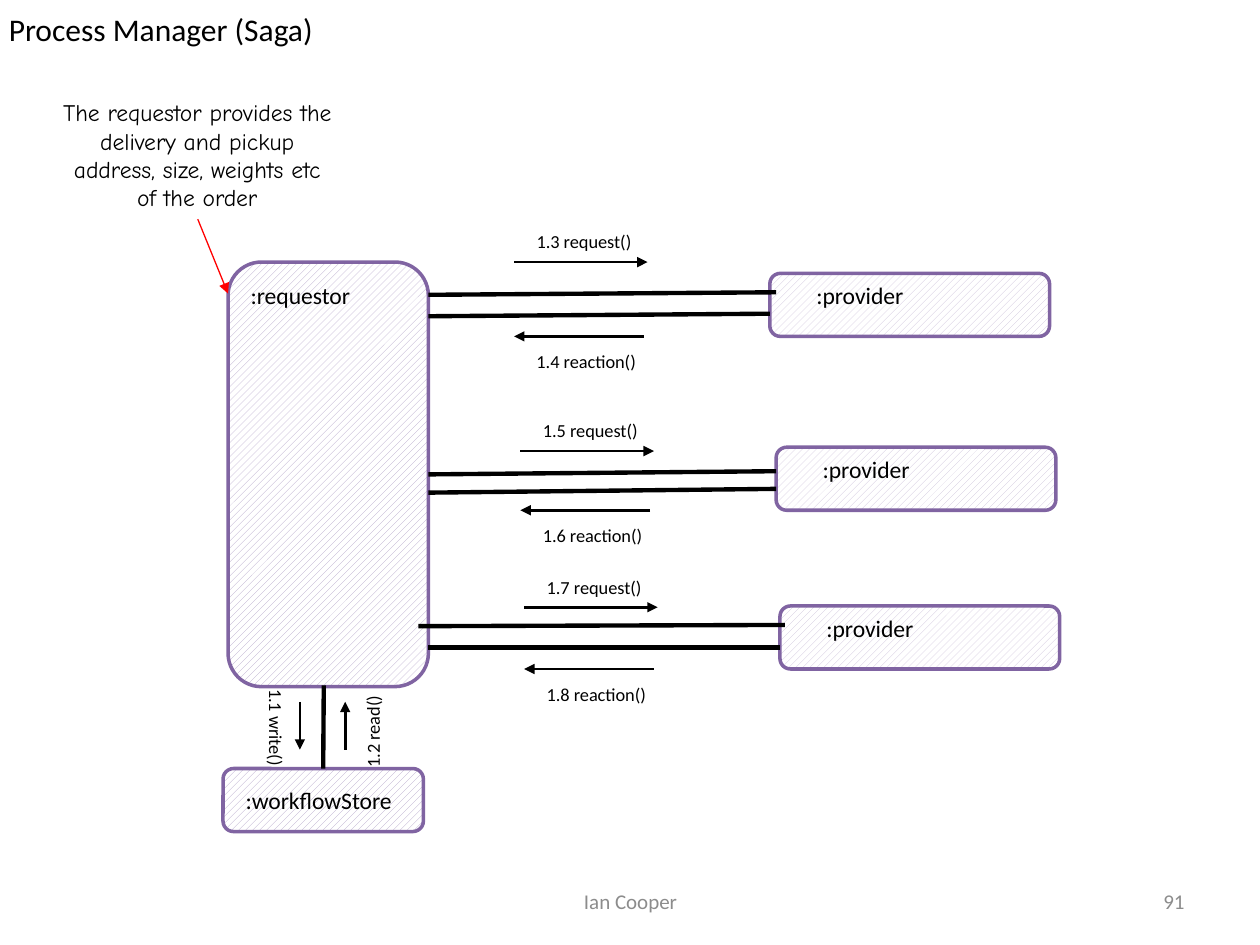
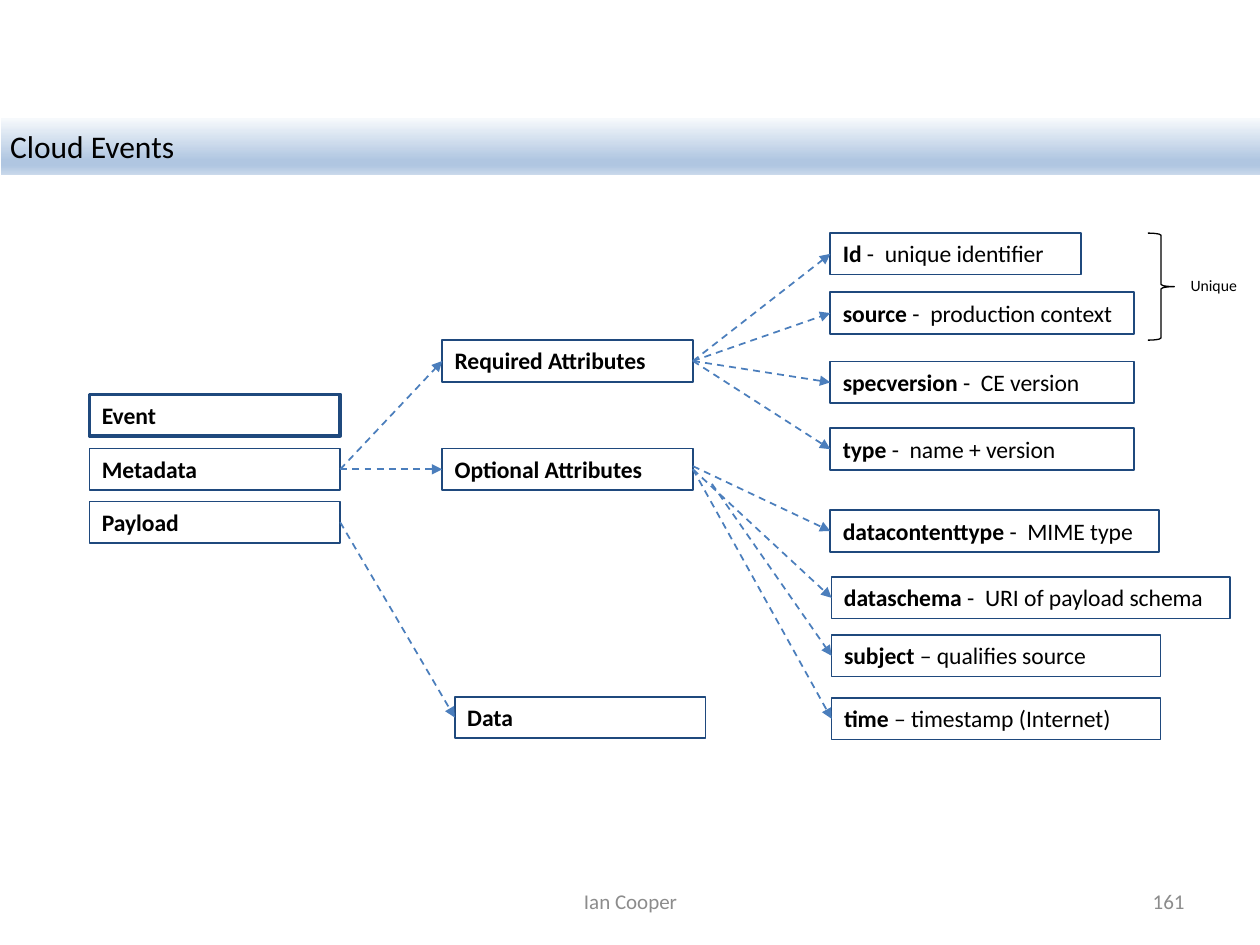
from lxml.etree import SubElement
from pptx import Presentation
from pptx.dml.color import RGBColor
from pptx.enum.dml import MSO_LINE, MSO_PATTERN
from pptx.enum.shapes import MSO_CONNECTOR, MSO_SHAPE
from pptx.enum.text import MSO_ANCHOR, MSO_AUTO_SIZE, PP_ALIGN
from pptx.oxml.ns import qn
from pptx.util import Inches, Pt

BLACK = RGBColor(0x00, 0x00, 0x00)
WHITE = RGBColor(0xFF, 0xFF, 0xFF)
GREY = RGBColor(0x8C, 0x8C, 0x8C)
RED = RGBColor(0xFF, 0x00, 0x00)
PURPLE = RGBColor(0x80, 0x64, 0xA2)
LILAC = RGBColor(0xB3, 0xA2, 0xC7)
PALE_LILAC = RGBColor(0xCC, 0xC1, 0xDA)
NAVY = RGBColor(0x1F, 0x49, 0x7D)
BLUE = RGBColor(0x4B, 0x7E, 0xBC)
BAND_TOP = RGBColor(0xF6, 0xF9, 0xFC)
BAND_MIDDLE = RGBColor(0xB0, 0xC6, 0xE1)
BAND_BOTTOM = RGBColor(0xCA, 0xD9, 0xEB)
BAND_STOPS = [(0, BAND_TOP), (74, BAND_MIDDLE), (83, BAND_MIDDLE), (100, BAND_BOTTOM)]

BODY = {"name": "Calibri", "size": Pt(13.5)}
BOLD = {**BODY, "bold": True}
TITLE = {**BODY, "size": Pt(18)}
FOOTER = {**BODY, "size": Pt(12)}
MESSAGE = {**BODY, "size": Pt(10.5)}
SMALL = {**BODY, "size": Pt(9)}
NOTE = {**BODY, "name": "Comic Neue"}

GROWING = {"word_wrap": True, "auto_size": MSO_AUTO_SIZE.SHAPE_TO_FIT_TEXT,
           "vertical_anchor": MSO_ANCHOR.TOP}
MIDDLE = {"word_wrap": True, "vertical_anchor": MSO_ANCHOR.MIDDLE}
TITLE_FRAME = {**GROWING, **dict.fromkeys(
    ["margin_left", "margin_right", "margin_top", "margin_bottom"], Inches(0.07))}

TOP, LEFT, BOTTOM, RIGHT = range(4)


def apply_format(target, values):
    for name, value in values.items():
        setattr(target, name, value)


def inches(values):
    return [Inches(value) for value in values]


def write(box, spans, frame=GROWING, align=PP_ALIGN.LEFT, color=BLACK):
    apply_format(box.text_frame, frame)
    para = box.text_frame.paragraphs[0]
    para.alignment = align
    for text, font in spans:
        span = para.add_run()
        span.text = text
        apply_format(span.font, font)
        span.font.color.rgb = color


def add_label(page, area, text, font=BODY, rotation=0, **layout):
    box = page.shapes.add_textbox(*inches(area))
    box.rotation = rotation
    write(box, [(text, font)], **layout)


def add_outline(page, kind, area, color, width):
    shape = page.shapes.add_shape(kind, *inches(area))
    shape.shadow.inherit = False
    shape.fill.background()
    shape.line.color.rgb = color
    shape.line.width = Pt(width)
    return shape


def add_hatched(page, area, color):
    box = add_outline(page, MSO_SHAPE.ROUNDED_RECTANGLE, area, PURPLE, 2)
    box.fill.patterned()
    box.fill.pattern = MSO_PATTERN.WIDE_UPWARD_DIAGONAL
    box.fill.fore_color.rgb = color
    box.fill.back_color.rgb = WHITE
    return box


def add_field(page, left, top, width, name, detail="", line_width=1):
    box = add_outline(page, MSO_SHAPE.RECTANGLE, (left, top, width, 0.33), NAVY, line_width)
    spans = [(name, BOLD)]
    if detail:
        spans = [(name + " ", BOLD), (detail, BODY)]
    write(box, spans)
    return box


def add_line(page, start, end, color=BLACK, width=2.5, arrow=False, dashed=False):
    line = page.shapes.add_connector(MSO_CONNECTOR.STRAIGHT, *inches((*start, *end)))
    line.line.color.rgb = color
    line.line.width = Pt(width)
    if dashed:
        line.line.dash_style = MSO_LINE.DASH
    if arrow:
        SubElement(line.line._get_or_add_ln(), qn("a:tailEnd"), type="triangle")
    SubElement(line._element.spPr, qn("a:effectLst"))
    return line


def add_dashed_arrow(page, source, target, start=None):
    line = add_line(page, start or (0, 0), (1, 1), BLUE, 1, arrow=True, dashed=True)
    if start is None:
        line.begin_connect(source, RIGHT)
    line.end_connect(target, LEFT)


def add_band(page, area, text):
    band = page.shapes.add_shape(MSO_SHAPE.RECTANGLE, *inches(area))
    band.shadow.inherit = False
    band.line.fill.background()
    band.fill.gradient()
    gradient = band._element.spPr.find(qn("a:gradFill"))
    for child in list(gradient):
        gradient.remove(child)
    stops = SubElement(gradient, qn("a:gsLst"))
    for position, color in BAND_STOPS:
        stop = SubElement(stops, qn("a:gs"), pos=str(position * 1000))
        SubElement(stop, qn("a:srgbClr"), val=str(color))
    SubElement(gradient, qn("a:lin"), ang="5400000", scaled="0")
    write(band, [(text, TITLE)], TITLE_FRAME)


def add_page(deck, number):
    page = deck.slides.add_slide(deck.slide_layouts[6])
    add_label(page, (3.42, 6.95, 3.17, 0.4), "Ian Cooper", FOOTER,
              frame=MIDDLE, align=PP_ALIGN.CENTER, color=GREY)
    add_label(page, (7.17, 6.95, 2.33, 0.4), number, FOOTER,
              frame=MIDDLE, align=PP_ALIGN.RIGHT, color=GREY)
    return page


def add_provider(page, left, top, request_top, step):
    add_hatched(page, (left, top, 2.22, 0.5), PALE_LILAC)
    add_label(page, (left + 0.27, top + 0.01, 1.81, 0.33), ":provider")
    near, reaction_top = left - 2.03, top + 0.5
    add_line(page, (near, request_top), (near + 1.06, request_top), width=1.5, arrow=True)
    add_line(page, (near + 1.03, reaction_top), (near, reaction_top), width=1.5, arrow=True)
    add_label(page, (near + 0.08, request_top - 0.3, 0.98, 0.28),
              f"1.{step} request()", MESSAGE)
    add_label(page, (near + 0.08, reaction_top + 0.06, 1.26, 0.28),
              f"1.{step + 1} reaction()", MESSAGE)


def build_process_manager(deck):
    page = add_page(deck, "91")
    add_label(page, (0, 0.01, 10, 0.45), "Process Manager (Saga)", TITLE, frame=TITLE_FRAME)

    requestor = add_hatched(page, (1.81, 2.08, 1.59, 3.37), LILAC)
    add_label(page, (1.89, 2.18, 1.51, 0.33), ":requestor")
    store = add_hatched(page, (1.77, 6.1, 1.59, 0.5), LILAC)
    add_label(page, (1.85, 6.19, 1.51, 0.33), ":workflowStore")

    add_label(page, (0.39, 0.73, 2.35, 1.01),
              "The requestor provides the delivery and pickup address, "
              "size, weights etc of the order", NOTE, align=PP_ALIGN.CENTER)
    add_line(page, (1.57, 1.74), (1.81, 2.33), RED, 0.75, arrow=True)

    providers = [(6.11, 2.17, 2.08), (6.16, 3.55, 3.58), (6.19, 4.81, 4.82)]
    for index, (left, top, request_top) in enumerate(providers):
        add_provider(page, left, top, request_top, 3 + 2 * index)

    links = [
        ((3.4, 2.34), (6.16, 2.32)), ((3.4, 2.51), (6.11, 2.49)),
        ((3.4, 3.91), (6.16, 3.88)),
        ((3.32, 4.97), (6.23, 4.96)), ((3.4, 5.14), (6.19, 5.14)),
    ]
    for start, end in links:
        add_line(page, start, end)
    add_line(page, (3.4, 3.76), (6.16, 3.74)).begin_connect(requestor, RIGHT)
    add_line(page, (2.57, 6.1), (2.57, 5.44)).begin_connect(store, TOP)

    add_line(page, (2.38, 5.57), (2.38, 5.95), width=1.5, arrow=True)
    add_line(page, (2.74, 5.95), (2.74, 5.57), width=1.5, arrow=True)
    add_label(page, (1.7, 5.72, 0.98, 0.28), "1.1 write()", MESSAGE, rotation=90)
    add_label(page, (2.47, 5.56, 0.98, 0.28), "1.2 read()", MESSAGE, rotation=270)


def build_cloud_events(deck):
    page = add_page(deck, "161")
    add_band(page, (0.01, 0.94, 9.99, 0.45), "Cloud Events")

    add_field(page, 0.71, 3.13, 1.99, "Event", line_width=2)
    metadata = add_field(page, 0.71, 3.56, 1.99, "Metadata")
    payload = add_field(page, 0.71, 3.98, 1.99, "Payload")
    required = add_field(page, 3.51, 2.7, 1.99, "Required Attributes")
    optional = add_field(page, 3.51, 3.56, 1.99, "Optional Attributes")
    data = add_field(page, 3.61, 5.53, 1.99, "Data")
    for source, target in [(metadata, required), (metadata, optional), (payload, data)]:
        add_dashed_arrow(page, source, target)

    attributes = [
        (required, 6.59, 1.85, 1.99, "Id", "-  unique identifier", None),
        (required, 6.59, 2.32, 2.41, "source", "-  production context", None),
        (required, 6.59, 2.87, 2.41, "specversion", "-  CE version", None),
        (required, 6.59, 3.4, 2.41, "type", "-  name + version", None),
        (optional, 6.59, 4.05, 2.61, "datacontenttype", "-  MIME type", (5.5, 3.7)),
        (optional, 6.6, 4.58, 3.16, "dataschema", "-  URI of payload schema", None),
        (optional, 6.6, 5.04, 2.61, "subject", "– qualifies source", (5.65, 3.84)),
        (optional, 6.6, 5.54, 2.61, "time", "– timestamp (Internet)", None),
    ]
    for group, left, top, width, name, detail, start in attributes:
        field = add_field(page, left, top, width, name, detail)
        add_dashed_arrow(page, group, field, start)

    add_outline(page, MSO_SHAPE.RIGHT_BRACE, (9.11, 1.85, 0.21, 0.85), BLACK, 0.75)
    add_label(page, (9.35, 2.14, 0.58, 0.25), "Unique", SMALL)


def main():
    deck = Presentation()
    apply_format(deck, {"slide_width": Inches(10), "slide_height": Inches(7.5)})
    build_process_manager(deck)
    build_cloud_events(deck)
    deck.save("out.pptx")


if __name__ == "__main__":
    main()
